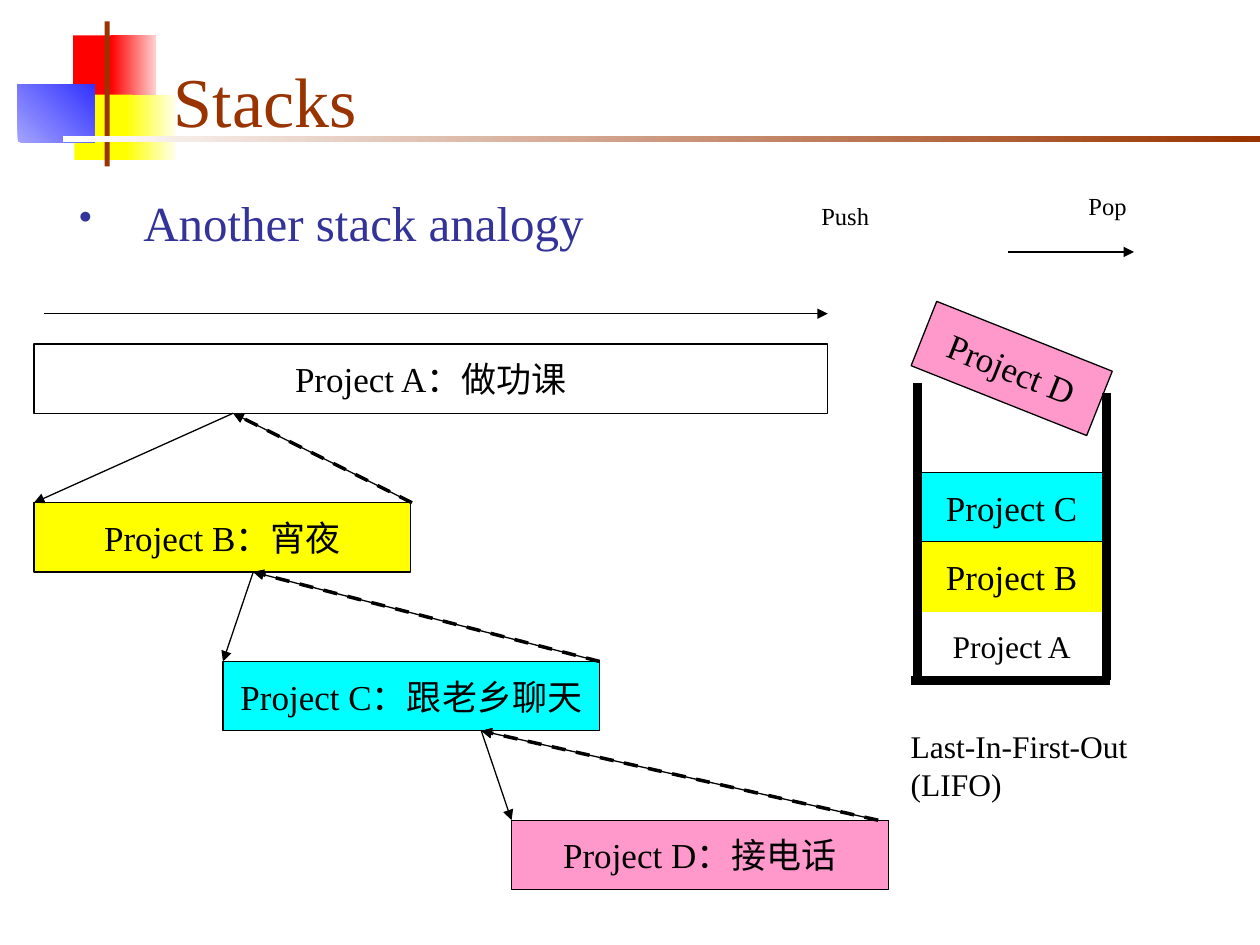
from lxml import etree
from pptx import Presentation
from pptx.dml.color import RGBColor
from pptx.enum.dml import MSO_LINE
from pptx.enum.shapes import MSO_CONNECTOR, MSO_SHAPE
from pptx.enum.text import MSO_ANCHOR, PP_ALIGN
from pptx.oxml.ns import qn
from pptx.util import Inches, Pt

RECT, STRAIGHT = MSO_SHAPE.RECTANGLE, MSO_CONNECTOR.STRAIGHT
DASH, CENTER = MSO_LINE.DASH, PP_ALIGN.CENTER
TOP, MIDDLE, BOTTOM = MSO_ANCHOR.TOP, MSO_ANCHOR.MIDDLE, MSO_ANCHOR.BOTTOM

FONT = "Times New Roman"
COLORS = {
    "black": "000000", "white": "FFFFFF", "brown": "993300", "navy": "333399",
    "red": "FF0000", "pale red": "FFD1D1", "yellow": "FFFF00",
    "pale yellow": "FFFFEF", "blue": "3333FF", "pale blue": "A3A3FF",
    "cyan": "00FFFF", "pink": "FF99CC",
}
WIDTH, HEIGHT = 10, 7.5
ROW = 0.55                      # height of every project box
CALL_TOP, CALL_STEP = 2.73, 1.26
CALL_WIDTH = 2.99
STACK_LEFT, STACK_WIDTH, STACK_BASE = 7.28, 1.5, 5.4
STACK_RIGHT = STACK_LEFT + STACK_WIDTH

# left, top, width, height, colours from start to end, gradient angle
DECORATION = [
    (0.58, 0.28, 0.35, 0.52, ["red"], 0),
    (0.88, 0.28, 0.36, 0.52, ["red", "pale red"], 0),
    (0.59, 0.75, 0.46, 0.52, ["yellow"], 0),
    (1, 0.75, 0.4, 0.52, ["yellow", "pale yellow"], 0),
    (0.14, 0.67, 0.61, 0.46, ["pale blue", "blue"], 45),
    (0.83, 0.17, 0.04, 1.15, ["brown"], 0),
    (0.5, 1.08, 9.5, 0.05, ["white", "brown"], 0),
]
# text, left, width, fill, x on the caller's lower edge, x where the return starts
CALLS = [
    ("Project A：做功课", 0.27, 6.3, "white", None, None),
    ("Project B：宵夜", 0.27, CALL_WIDTH, "yellow", 1.85, 3.27),
    ("Project C：跟老乡聊天", 1.77, CALL_WIDTH, "cyan", 2.01, 4.76),
    ("Project D：接电话", 4.06, CALL_WIDTH, "pink", 3.82, 6.97),
]
# text, fill, outline, text size, from the bottom up
STACK = [
    ("Project A", "white", "black", 18),
    ("Project B", "yellow", "yellow", 20),
    ("Project C", "cyan", "black", 20),
]
# start point, then two control points and an end point per curve segment
PUSH_CURVE = [(6.57, 1.86), (6.63, 1.85), (6.82, 1.8), (6.93, 1.81),
              (7.04, 1.81), (7.13, 1.84), (7.21, 1.88),
              (7.28, 1.91), (7.34, 1.96), (7.38, 2.03),
              (7.41, 2.1), (7.43, 2.25), (7.44, 2.31)]
POP_CURVE = [(8.41, 2.34), (8.43, 2.28), (8.48, 2.09), (8.54, 2),
             (8.59, 1.91), (8.67, 1.84), (8.74, 1.8),
             (8.81, 1.75), (8.87, 1.73), (8.95, 1.73),
             (9.03, 1.73), (9.17, 1.79), (9.23, 1.81)]


def color(name):
    return RGBColor.from_string(COLORS[name])


def set_all(target, **values):
    for name, value in values.items():
        setattr(target, name, value)


def write(shape, text, size, ink="black", anchor=TOP, wrap=True, **paragraph_format):
    frame = shape.text_frame
    set_all(frame, text=text, vertical_anchor=anchor, word_wrap=wrap)
    paragraph = frame.paragraphs[0]
    set_all(paragraph, **paragraph_format)
    font = paragraph.runs[0].font
    set_all(font, name=FONT, size=Pt(size), bold=False)
    font.color.rgb = color(ink)
    return paragraph


def add_arrowhead(line_shape):
    line = line_shape.line._get_or_add_ln()
    etree.SubElement(line, qn("a:tailEnd"), type="triangle")


def add_decoration(slide, left, top, width, height, names, angle):
    block = slide.shapes.add_shape(RECT, *map(Inches, (left, top, width, height)))
    block.shadow.inherit = False
    block.line.fill.background()
    if len(names) == 1:
        block.fill.solid()
        block.fill.fore_color.rgb = color(names[0])
        return
    block.fill.gradient()
    block.fill.gradient_angle = angle
    for stop, name, position in zip(block.fill.gradient_stops, names, (0, 1)):
        stop.color.rgb = color(name)
        stop.position = position


def add_project(slide, text, left, top, width, fill, outline="black", size=20):
    box = slide.shapes.add_shape(RECT, *map(Inches, (left, top, width, ROW)))
    box.shadow.inherit = False
    box.fill.solid()
    box.fill.fore_color.rgb = color(fill)
    box.line.color.rgb = color(outline)
    box.line.width = Pt(0.75)
    write(box, text, size, anchor=MIDDLE, wrap=False, alignment=CENTER)
    return box


def add_line(slide, start, end, width=0.75, dash=None, arrow=True):
    line = slide.shapes.add_connector(STRAIGHT, *map(Inches, (*start, *end)))
    etree.SubElement(line._element.spPr, qn("a:effectLst"))
    line.line.color.rgb = color("black")
    line.line.width = Pt(width)
    if dash:
        line.line.dash_style = dash
    if arrow:
        add_arrowhead(line)


def add_label(slide, text, left, top, width, height, size, **text_format):
    label = slide.shapes.add_textbox(*map(Inches, (left, top, width, height)))
    return write(label, text, size, **text_format)


def curve_points(knots, steps=12):
    """Points along a chain of cubic Bezier segments."""
    points = [knots[0]]
    for i in range(0, len(knots) - 1, 3):
        for t in (step / steps for step in range(1, steps + 1)):
            weights = ((1 - t) ** 3, 3 * t * (1 - t) ** 2, 3 * t * t * (1 - t), t ** 3)
            points.append(tuple(
                sum(w * knot[axis] for w, knot in zip(weights, knots[i:i + 4]))
                for axis in (0, 1)))
    return points


def add_curved_arrow(slide, knots):
    start, *rest = curve_points(knots)
    builder = slide.shapes.build_freeform(*start, scale=Inches(1))
    builder.add_line_segments(rest, close=False)
    curve = builder.convert_to_shape()
    curve.shadow.inherit = False
    curve.fill.background()
    curve.line.color.rgb = color("black")
    curve.line.width = Pt(0.75)
    add_arrowhead(curve)


def add_heading(slide):
    title = slide.shapes.title
    set_all(title, left=Inches(1.22), top=Inches(0.25),
            width=Inches(8.63), height=Inches(0.92))
    heading = write(title, "Stacks", 40, "brown", BOTTOM,
                    alignment=PP_ALIGN.LEFT, line_spacing=Pt(48))
    heading._p.get_or_add_pPr().set("marL", str(Inches(0.06)))


def add_bullet_line(slide):
    bullet_line = add_label(slide, "Another stack analogy", 0.43, 1.47, 9.38, 0.75, 28,
                            ink="navy", line_spacing=Pt(34))
    properties = bullet_line._p.get_or_add_pPr()
    properties.set("marL", str(Inches(0.61)))
    properties.set("indent", str(Inches(-0.51)))
    bullet_color = etree.SubElement(properties, qn("a:buClr"))
    etree.SubElement(bullet_color, qn("a:srgbClr"), val=COLORS["navy"])
    etree.SubElement(properties, qn("a:buSzPct"), val="77000")
    etree.SubElement(properties, qn("a:buChar"), char="•")


def add_call_chain(slide):
    """Each project interrupts the one above it and returns to it when done."""
    add_line(slide, (0.35, 2.49), (6.57, 2.49))
    for level, (text, left, width, fill, call_x, return_x) in enumerate(CALLS):
        top = CALL_TOP + level * CALL_STEP
        add_project(slide, text, left, top, width, fill)
        if level:
            caller = (call_x, top - CALL_STEP + ROW)
            add_line(slide, caller, (left, top))
            add_line(slide, (return_x, top), caller)
            add_line(slide, (return_x, top), caller, 2, DASH)


def add_stack(slide):
    for level, (text, fill, outline, size) in enumerate(STACK, start=1):
        add_project(slide, text, STACK_LEFT, STACK_BASE - level * ROW,
                    STACK_WIDTH, fill, outline, size)
    moving = add_project(slide, "Project D", STACK_LEFT, 2.65, STACK_WIDTH, "pink")
    moving.rotation = 21.7
    for start, end in (((STACK_LEFT, 3.04), (STACK_LEFT, STACK_BASE)),
                       ((STACK_RIGHT, 3.12), (STACK_RIGHT, STACK_BASE)),
                       ((7.23, STACK_BASE), (8.81, STACK_BASE))):
        add_line(slide, start, end, 5, arrow=False)
    add_curved_arrow(slide, PUSH_CURVE)
    add_curved_arrow(slide, POP_CURVE)
    add_label(slide, "Push", 6.42, 1.55, 0.79, 0.34, 14)
    add_label(slide, "Pop", 8.54, 1.47, 0.79, 0.34, 14)
    add_label(slide, "Last-In-First-Out (LIFO)", 7.13, 5.72, 2.7, 0.4, 18, wrap=False)


def main():
    deck = Presentation()
    set_all(deck, slide_width=Inches(WIDTH), slide_height=Inches(HEIGHT))
    slide = deck.slides.add_slide(deck.slide_layouts[5])
    for block in DECORATION:
        add_decoration(slide, *block)
    add_heading(slide)
    add_bullet_line(slide)
    add_call_chain(slide)
    add_stack(slide)
    deck.save("out.pptx")


if __name__ == "__main__":
    main()
